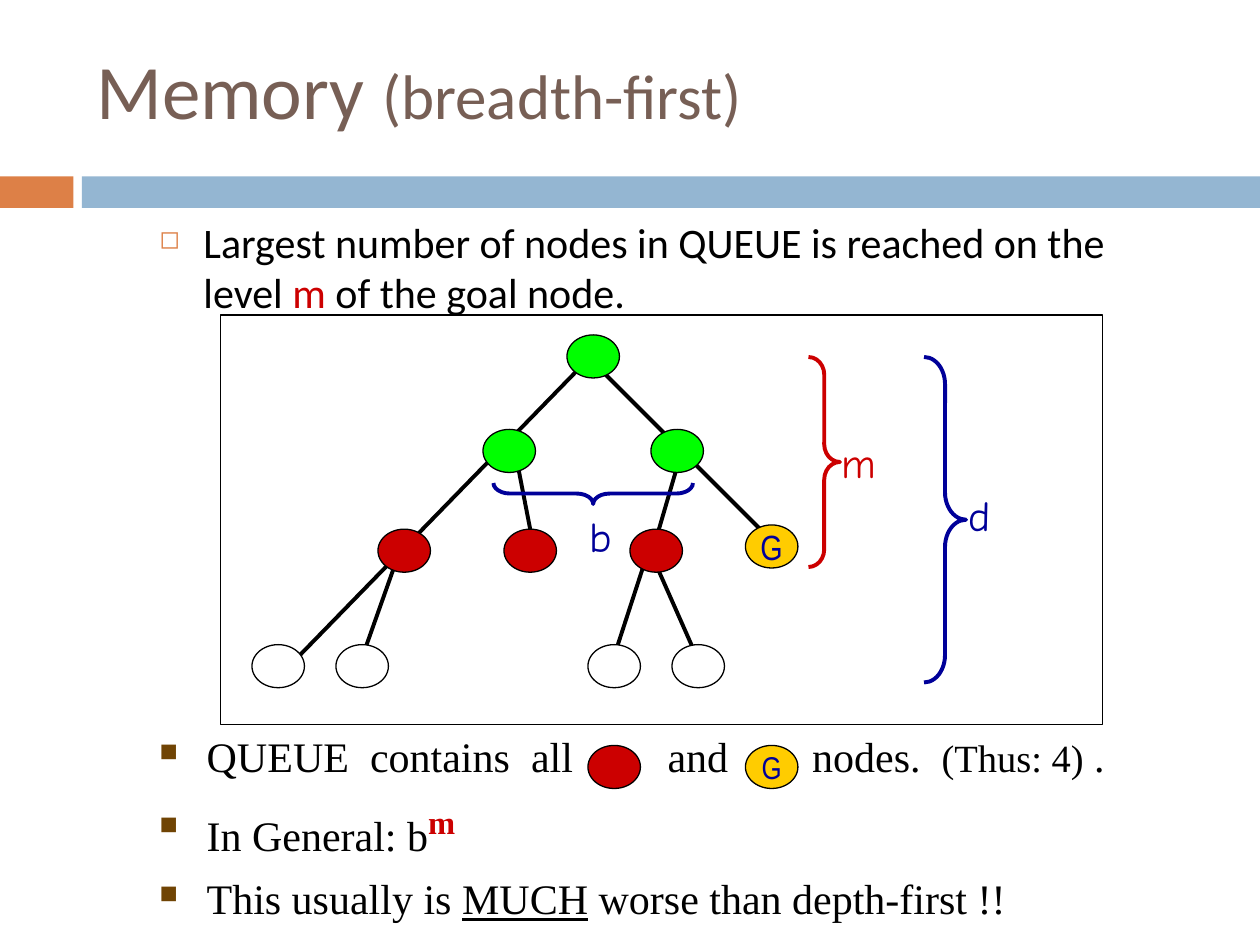
from lxml.etree import SubElement
from pptx import Presentation
from pptx.dml.color import RGBColor
from pptx.enum.shapes import MSO_CONNECTOR, MSO_SHAPE
from pptx.enum.text import MSO_ANCHOR, PP_ALIGN
from pptx.oxml.ns import qn
from pptx.util import Pt

PX = 7620
BLACK = RGBColor(0x00, 0x00, 0x00)
WHITE = RGBColor(0xFF, 0xFF, 0xFF)
RED = RGBColor(0xCC, 0x00, 0x00)
GREEN = RGBColor(0x00, 0xFF, 0x00)
GOLD = RGBColor(0xFF, 0xCC, 0x00)
NAVY = RGBColor(0x00, 0x00, 0x99)
ORANGE = RGBColor(0xDD, 0x80, 0x47)
BLUE = RGBColor(0x94, 0xB6, 0xD2)
TAUPE = RGBColor(0x77, 0x5F, 0x55)
BROWN = RGBColor(0x70, 0x44, 0x04)

deck = Presentation()
deck.slide_width, deck.slide_height = 1200 * PX, 900 * PX
slide = deck.slides.add_slide(deck.slide_layouts[6])
shapes = slide.shapes


def add_figure(preset, box, fill=None, line=None, weight=0.75):
    figure = shapes.add_shape(preset, *(value * PX for value in box))
    figure.shadow.inherit = False
    if fill is None:
        figure.fill.background()
    else:
        figure.fill.solid()
        figure.fill.fore_color.rgb = fill
    if line is None:
        figure.line.fill.background()
    else:
        figure.line.color.rgb = line
        figure.line.width = Pt(weight)
    return figure


def style_paragraph(paragraph, font_name, size, color, bullet=None, bullet_color=None, indent=0):
    if bullet:
        properties = paragraph._p.get_or_add_pPr()
        properties.set("marL", str(indent * PX))
        properties.set("indent", str(-indent * PX))
        tint = SubElement(properties, qn("a:buClr"))
        SubElement(tint, qn("a:srgbClr"), val=str(bullet_color))
        SubElement(properties, qn("a:buSzPct"), val="60000")
        SubElement(properties, qn("a:buChar"), char=bullet)
    paragraph.font.name = font_name
    paragraph.font.size = Pt(size)
    paragraph.font.color.rgb = color


add_figure(MSO_SHAPE.RECTANGLE, (0, 168, 70, 30), ORANGE)
add_figure(MSO_SHAPE.RECTANGLE, (78, 168, 1122, 30), BLUE)

title = shapes.add_textbox(80 * PX, 20 * PX, 1090 * PX, 130 * PX).text_frame
title.word_wrap = True
title.vertical_anchor = MSO_ANCHOR.MIDDLE
heading = title.paragraphs[0]
style_paragraph(heading, "Calibri", 44, TAUPE)
heading.add_run().text = "Memory "
strategy = heading.add_run()
strategy.text = "(breadth-first)"
strategy.font.size = Pt(36)

intro = shapes.add_textbox(140 * PX, 200 * PX, 970 * PX, 130 * PX).text_frame
intro.word_wrap = True
claim = intro.paragraphs[0]
style_paragraph(claim, "Calibri", 24, BLACK, "◻", ORANGE, 42)
claim.add_run().text = "Largest number of nodes in QUEUE is reached on the level "
level = claim.add_run()
level.text = "m"
level.font.color.rgb = RED
claim.add_run().text = " of the goal node."

add_figure(MSO_SHAPE.RECTANGLE, (210, 300, 840, 390), WHITE, BLACK)

branches = [
    (560, 340, 740, 520),
    (620, 527, 670, 640),
    (620, 517, 580, 640),
    (380, 527, 340, 640),
    (650, 427, 620, 530),
    (490, 427, 510, 530),
    (570, 332, 270, 640),
]
for ends in branches:
    branch = shapes.add_connector(MSO_CONNECTOR.STRAIGHT, *(value * PX for value in ends))
    branch.line.color.rgb = BLACK
    branch.line.width = Pt(2.25)
    SubElement(branch._element.spPr, qn("a:effectLst"))

node_rows = [
    (319, GREEN, [540]),
    (409, GREEN, [460, 620]),
    (504, RED, [360, 480, 600]),
    (614, WHITE, [240, 320, 560, 640]),
    (710, RED, [560]),
]
for top, fill, lefts in node_rows:
    for left in lefts:
        add_figure(MSO_SHAPE.OVAL, (left, top, 50, 41), fill, BLACK)

for top, size in [(500, 20), (710, 18)]:
    goal = add_figure(MSO_SHAPE.OVAL, (710, top, 50, 41), GOLD, BLACK).text_frame
    goal.word_wrap = False
    goal.vertical_anchor = MSO_ANCHOR.MIDDLE
    goal.text = "G"
    goal.paragraphs[0].alignment = PP_ALIGN.CENTER
    style_paragraph(goal.paragraphs[0], "Arial Narrow", size, NAVY)

measures = [
    ("d", NAVY, MSO_SHAPE.RIGHT_BRACE, (880, 340, 40, 310), 0.65, 0, (911, 460, 44, 60)),
    ("b", NAVY, MSO_SHAPE.LEFT_BRACE, (555, 375, 20, 190), 0.79, 270, (550, 480, 46, 60)),
    ("m", RED, MSO_SHAPE.RIGHT_BRACE, (770, 340, 30, 200), 0.56, 0, (790, 410, 56, 60)),
]
for letter, color, preset, span, curve, rotation, label_box in measures:
    brace = add_figure(preset, span, None, color, 2.25)
    brace.adjustments[0] = curve
    brace.rotation = rotation
    label = shapes.add_textbox(*(value * PX for value in label_box)).text_frame
    label.word_wrap = False
    label.text = letter
    style_paragraph(label.paragraphs[0], "Comic Neue", 24, color)

conclusions = shapes.add_textbox(140 * PX, 690 * PX, 1040 * PX, 210 * PX).text_frame
conclusions.word_wrap = True
queue = conclusions.paragraphs[0]
general = conclusions.add_paragraph()
verdict = conclusions.add_paragraph()
for point in (queue, general, verdict):
    style_paragraph(point, "Times New Roman", 24, BLACK, "■", BROWN, 45)
general.space_before = Pt(8)
verdict.space_before = Pt(6)

for word, extra_gap in [("QUEUE", 6), ("contains", 6), ("all", 48), ("and", 42), ("nodes.", 6)]:
    queue.add_run().text = word
    gap = queue.add_run()
    gap.text = " "
    gap._r.get_or_add_rPr().set("spc", str(extra_gap * 100))
count = queue.add_run()
count.text = "(Thus: 4)"
count.font.size = Pt(22)
queue.add_run().text = " ."

general.add_run().text = "In General: b"
exponent = general.add_run()
exponent.text = "m"
exponent.font.size = Pt(32)
exponent.font.bold = True
exponent.font.color.rgb = RED
exponent._r.get_or_add_rPr().set("baseline", "30000")

verdict.add_run().text = "This usually is "
emphasis = verdict.add_run()
emphasis.text = "MUCH"
emphasis.font.underline = True
verdict.add_run().text = " worse than depth-first !!"

deck.save("out.pptx")
